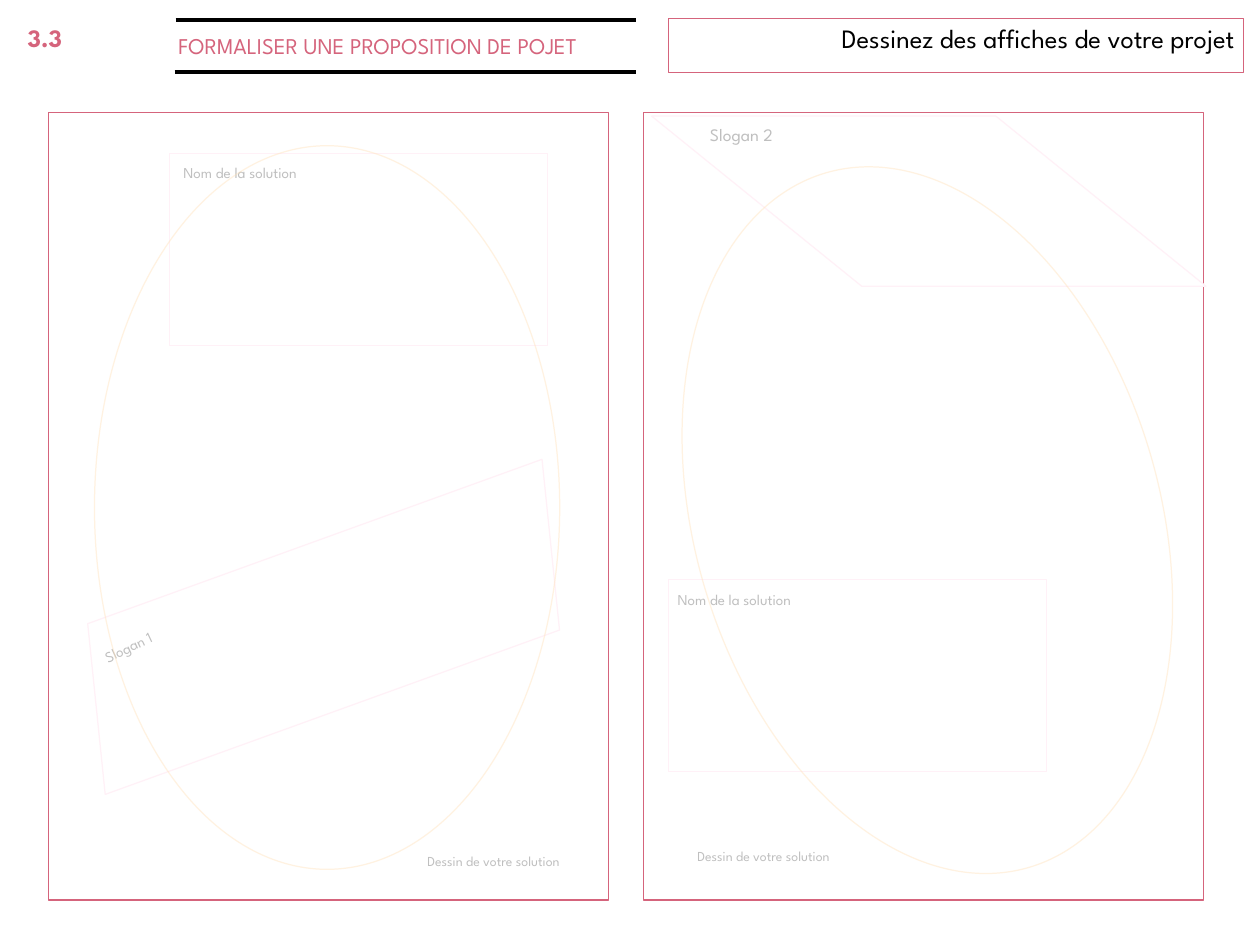
import pptx
import pptx.util
import pptx.dml.color
import pptx.enum.shapes
import pptx.enum.text
import pptx.oxml.ns
import lxml.etree
from dataclasses import dataclass
from typing import Optional

Pt = pptx.util.Pt
Kind = pptx.enum.shapes.MSO_SHAPE
Align = pptx.enum.text.PP_ALIGN
FONT = "League Spartan"
COLORS = {"rose": "D5647C", "pale_rose": "FFF1F7", "peach": "FFE1B9",
          "grey": "BFBFBF", "black": "000000", "white": "FFFFFF"}


@dataclass
class Outline:
    """A preset shape; lengths in points."""
    kind: Kind
    box: tuple
    line: str
    width: float = 1
    fill: Optional[str] = None
    rotation: float = 0
    adjustment: Optional[float] = None
    flip_vertical: bool = False
    line_opacity: Optional[int] = None


@dataclass
class Label:
    """A text box; lengths in points."""
    text: str
    box: tuple
    size: float
    color: str = "grey"
    bold: bool = False
    rotation: float = 0


def color(name: str):
    """Return a named colour."""
    return pptx.dml.color.RGBColor.from_string(COLORS[name])


def add_element(parent, tag: str, **attributes):
    """Append a drawing element to parent."""
    return lxml.etree.SubElement(parent, pptx.oxml.ns.qn(tag), attributes)


def write_text(shape, text: str, size: float, color_name: str,
               bold: bool = False, alignment=Align.LEFT) -> None:
    """Put one formatted, top-anchored paragraph in a shape."""
    frame = shape.text_frame
    frame.word_wrap = True
    frame.auto_size = pptx.enum.text.MSO_AUTO_SIZE.NONE
    frame.vertical_anchor = pptx.enum.text.MSO_ANCHOR.TOP
    frame.text = text
    paragraph = frame.paragraphs[0]
    paragraph.alignment = alignment
    paragraph.font.name = FONT
    paragraph.font.size = Pt(size)
    paragraph.font.bold = bold
    paragraph.font.color.rgb = color(color_name)


def draw_outline(slide, outline: Outline):
    """Draw one outlined shape."""
    shape = slide.shapes.add_shape(outline.kind, *map(Pt, outline.box))
    shape.shadow.inherit = False
    shape.rotation = outline.rotation
    shape.line.color.rgb = color(outline.line)
    shape.line.width = Pt(outline.width)
    if outline.fill:
        shape.fill.solid()
        shape.fill.fore_color.rgb = color(outline.fill)
    else:
        shape.fill.background()
    if outline.adjustment is not None:
        shape.adjustments[0] = outline.adjustment
    properties = shape._element.spPr
    if outline.flip_vertical:
        properties.find(pptx.oxml.ns.qn("a:xfrm")).set("flipV", "1")
    if outline.line_opacity is not None:
        line_color = properties.find(".//" + pptx.oxml.ns.qn("a:ln")).find(
            ".//" + pptx.oxml.ns.qn("a:srgbClr"))
        add_element(line_color, "a:alpha", val=str(outline.line_opacity * 1000))
    return shape


def draw_label(slide, label: Label) -> None:
    """Draw one text label."""
    shape = slide.shapes.add_textbox(*map(Pt, label.box))
    shape.rotation = label.rotation
    write_text(shape, label.text, label.size, label.color, label.bold)


def draw_rule(slide, left: float, top: float) -> None:
    """Draw one thick rule around the title."""
    rule = slide.shapes.add_connector(
        pptx.enum.shapes.MSO_CONNECTOR.STRAIGHT,
        Pt(left), Pt(top), Pt(left + 368.8), Pt(top))
    rule.line.color.rgb = color("black")
    rule.line.width = Pt(3)
    add_element(rule._element.spPr, "a:effectLst")


def poster_frame(left: float) -> Outline:
    """Describe a poster's frame."""
    return Outline(Kind.RECTANGLE, (left, 90, 448, 630), "rose")


def name_area(left: float, top: float) -> Outline:
    """Describe the area for the solution's name."""
    return Outline(Kind.RECTANGLE, (left, top, 302.4, 153.4), "pale_rose", fill="white")


def drawing_area(left: float, top: float, rotation: float = 0) -> Outline:
    """Describe the oval for the solution's drawing."""
    return Outline(Kind.OVAL, (left, top, 372.2, 578.9), "peach",
                   rotation=rotation, line_opacity=41)


def name_label(left: float, top: float) -> Label:
    """Describe the caption of a name area."""
    return Label("Nom de la solution", (left, top, 223.2, 21.6), 12)


def drawing_label(left: float, top: float) -> Label:
    """Describe the caption of a drawing area."""
    return Label("Dessin de votre solution", (left, top, 191.5, 20.9), 11)


POSTER_PARTS = [
    poster_frame(38.9),
    poster_frame(514.8),
    Outline(Kind.PARALLELOGRAM, (49, 434.9, 419.8, 133.2), "pale_rose",
            fill="white", rotation=340.1),
    Outline(Kind.PARALLELOGRAM, (521.3, 92.9, 443.5, 136.1), "pale_rose",
            fill="white", adjustment=1.235, flip_vertical=True),
    Label("Slogan 1", (68.4, 475.2, 203.8, 21.6), 12, rotation=334.9),
    Label("Slogan 2", (560.9, 95.8, 203.8, 24.5), 14),
    name_area(135.4, 123.1),
    name_label(139.7, 127.4),
    name_area(535, 463.7),
    name_label(535, 468.7),
    drawing_label(334.8, 679),
    drawing_area(75.6, 116.6),
    drawing_area(555.8, 126.7, 343.7),
    drawing_label(550.8, 674.6),
    Label("3.3", (15.1, 14.4, 59.8, 31.7), 20, "rose", True),
]

presentation = pptx.Presentation()
presentation.slide_width = Pt(1008)
presentation.slide_height = Pt(756)
slide = presentation.slides.add_slide(presentation.slide_layouts.get_by_name("Title Only"))

title = slide.shapes.title
title.left, title.top, title.width, title.height = map(Pt, (135.4, 21.6, 478.1, 28.8))
write_text(title, "FORMALISER UNE PROPOSITION DE POJET", 18, "rose")
draw_rule(slide, 139.7, 57.6)
draw_rule(slide, 140.4, 15.8)

instruction = draw_outline(
    slide, Outline(Kind.RECTANGLE, (535, 14.4, 460.1, 43.9), "rose", 0.75))
write_text(instruction, "Dessinez des affiches de votre projet", 21.2, "black",
           alignment=Align.RIGHT)

for part in POSTER_PARTS:
    if isinstance(part, Label):
        draw_label(slide, part)
    else:
        draw_outline(slide, part)

presentation.save("out.pptx")
